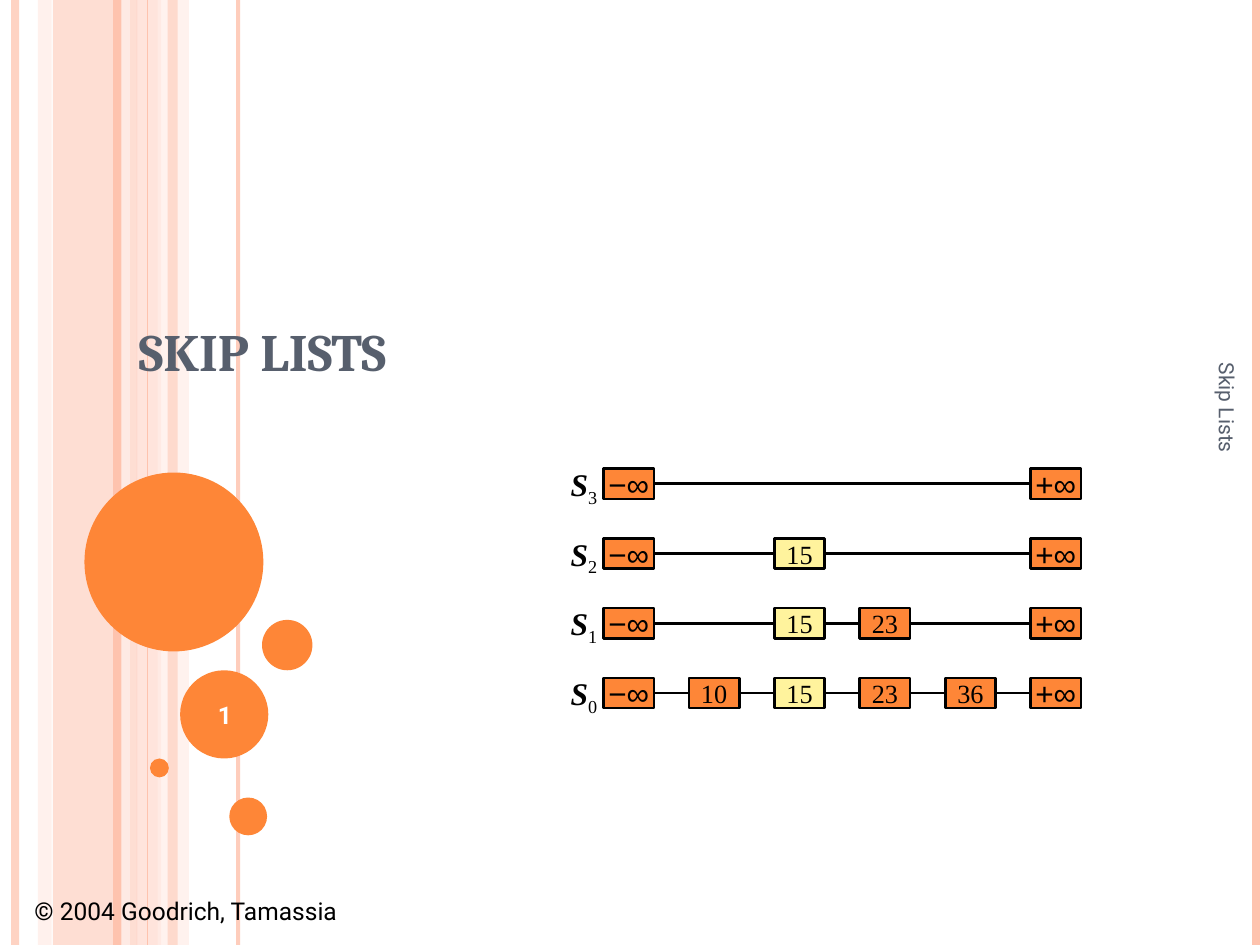
from lxml import etree
from pptx import Presentation
from pptx.dml.color import RGBColor
from pptx.enum import shapes, text
from pptx.oxml.ns import qn
from pptx.util import Inches, Pt

COLORS = {
    "orange": "FE8637", "yellow": "FFF39D", "peach": "FEC3AE", "light": "FFD9CE",
    "pale": "FFEDE8", "slate": "575F6D", "black": "000000", "white": "FFFFFF",
}
HEIGHT = 7.5

# left, width, colour, opacity in percent
BANDS = [(0.42, 0.67, "peach", 54), (0.3, 0.11, "light", 36),
         (1.08, 0.2, "light", 70), (1.25, 0.25, "pale", 71)]
INNER_BAND = (1.33, 0.08, "peach", 51)
# x, colour, width in points, opacity in percent
STRIPES = [(0.12, "peach", 4.5, 73), (1, "pale", 4.5, 83), (0.93, "peach", 4.5, 100),
           (1.89, "peach", 2.25, 82), (1.17, "peach", 0.75, 100), (9.97, "peach", 4.5, 100)]
# left, top, diameter
CIRCLES = [(0.67, 3.75, 1.42), (1.43, 5.32, 0.7), (1.19, 6.02, 0.15),
           (1.82, 6.33, 0.3), (2.08, 4.92, 0.4)]

# Skip list grid: each key has its own column, each level its own row
KEYS = ["−∞", "10", "15", "23", "36", "+∞"]
LEVELS = [("3", ["−∞", "+∞"]), ("2", ["−∞", "15", "+∞"]),
          ("1", ["−∞", "15", "23", "+∞"]), ("0", KEYS)]
LEFT, TOP = 4.79, 3.72
COLUMN_STEP = (8.18 - LEFT) / (len(KEYS) - 1)
ROW_STEP = (5.38 - TOP) / (len(LEVELS) - 1)
NODE_W, NODE_H = 0.4, 0.24


def rgb(name):
    return RGBColor.from_string(COLORS[name])


def set_fill(fill, color, opacity=100):
    fill.solid()
    fill.fore_color.rgb = rgb(color)
    if opacity < 100:
        for clr in fill._xPr.find(qn("a:solidFill")):
            etree.SubElement(clr, qn("a:alpha"), val=str(opacity * 1000))


def set_font(font, name, size, color, bold=False, italic=False):
    font.name, font.size = name, Pt(size)
    font.color.rgb = rgb(color)
    font.bold, font.italic = bold, italic


def add_shape(parent, kind, box, color, opacity=100):
    sp = parent.shapes.add_shape(kind, *map(Inches, box))
    sp.shadow.inherit = False
    set_fill(sp.fill, color, opacity)
    sp.line.fill.background()
    return sp


def add_band(s, left, width, color, opacity):
    add_shape(s, shapes.MSO_SHAPE.RECTANGLE, (left, 0, width, HEIGHT), color, opacity)


def add_line(parent, start, end, color, width, opacity=100):
    line = parent.shapes.add_connector(
        shapes.MSO_CONNECTOR.STRAIGHT, *map(Inches, (*start, *end)))
    set_fill(line.line.fill, color, opacity)
    line.line.width = Pt(width)
    etree.SubElement(line._element.spPr, qn("a:effectLst"))
    return line


def add_text(s, box, content, align=text.PP_ALIGN.LEFT, anchor=text.MSO_ANCHOR.MIDDLE,
             wrap=True):
    sp = s.shapes.add_textbox(*map(Inches, box))
    tf = sp.text_frame
    tf.word_wrap = wrap
    tf.auto_size = text.MSO_AUTO_SIZE.NONE if wrap else text.MSO_AUTO_SIZE.SHAPE_TO_FIT_TEXT
    tf.vertical_anchor = anchor
    p = tf.paragraphs[0]
    p.text, p.alignment = content, align
    return sp, p


def add_background(s):
    for band in BANDS:
        add_band(s, *band)
    for x, color, width, opacity in STRIPES:
        add_line(s, (x, 0), (x, HEIGHT), color, width, opacity)
    add_band(s, *INNER_BAND)
    for left, top, size in CIRCLES:
        add_shape(s, shapes.MSO_SHAPE.OVAL, (left, top, size, size), "orange")


def add_title(s):
    title = s.shapes.title
    title.left, title.top, title.width, title.height = map(Inches, (1, 1.83, 8.5, 1.25))
    tf = title.text_frame
    tf.text = "SKIP LISTS"
    tf.vertical_anchor = text.MSO_ANCHOR.BOTTOM
    p = tf.paragraphs[0]
    p.alignment = text.PP_ALIGN.LEFT
    set_font(p.font, "Cambria", 30, "slate", bold=True)
    # Bring the title in front of the stripes
    s.shapes[-1]._element.addnext(title._element)


def add_footers(s):
    center, top = text.PP_ALIGN.CENTER, text.MSO_ANCHOR.TOP
    _, p = add_text(s, (0.12, 7.06, 2.71, 0.34), "© 2004 Goodrich, Tamassia",
                    center, top, wrap=False)
    set_font(p.font, "Roboto", 14, "black")
    sp, p = add_text(s, (7.74, 4.57, 4, 0.42), "Skip Lists")
    sp.rotation = 90
    set_font(p.font, "Roboto", 12, "slate")
    _, p = add_text(s, (1.45, 5.39, 0.67, 0.57), "1", center)
    set_font(p.font, "Roboto", 14, "white", bold=True)


def add_level_label(s, level, top):
    _, p = add_text(s, (4.43, top - 0.08, 0.41, 0.44), "S", text.PP_ALIGN.CENTER,
                    text.MSO_ANCHOR.TOP, wrap=False)
    set_font(p.runs[0].font, "Times New Roman", 18, "black", bold=True, italic=True)
    r = p.add_run()
    r.text = level
    set_font(r.font, "Times New Roman", 18, "black")
    r._r.get_or_add_rPr().set("baseline", "-25000")


def add_node(group, key, top):
    left = LEFT + KEYS.index(key) * COLUMN_STEP
    sp = add_shape(group, shapes.MSO_SHAPE.RECTANGLE, (left, top, NODE_W, NODE_H),
                   "yellow" if key == "15" else "orange")
    sp.line.color.rgb = rgb("black")
    sp.line.width = Pt(1.5)
    tf = sp.text_frame
    tf.word_wrap = False
    tf.vertical_anchor = text.MSO_ANCHOR.MIDDLE
    p = tf.paragraphs[0]
    p.text, p.alignment = key, text.PP_ALIGN.CENTER
    if "∞" in key:
        set_font(p.font, "Arial", 18, "black")
    else:
        set_font(p.font, "Times New Roman", 15, "black")
    return sp


def add_level(s, row, level, keys):
    top = TOP + row * ROW_STEP
    add_level_label(s, level, top)
    group = s.shapes.add_group_shape()
    nodes = [add_node(group, key, top) for key in keys]
    for a, b in zip(nodes, nodes[1:]):
        link = add_line(group, (LEFT, top), (LEFT, top), "black", 1.5)
        link.begin_connect(a, 3)
        link.end_connect(b, 1)


def main():
    prs = Presentation()
    prs.slide_width, prs.slide_height = Inches(10), Inches(HEIGHT)
    s = prs.slides.add_slide(prs.slide_layouts[5])
    add_background(s)
    add_title(s)
    add_footers(s)
    for row, (level, keys) in enumerate(LEVELS):
        add_level(s, row, level, keys)
    prs.save("out.pptx")


if __name__ == "__main__":
    main()
